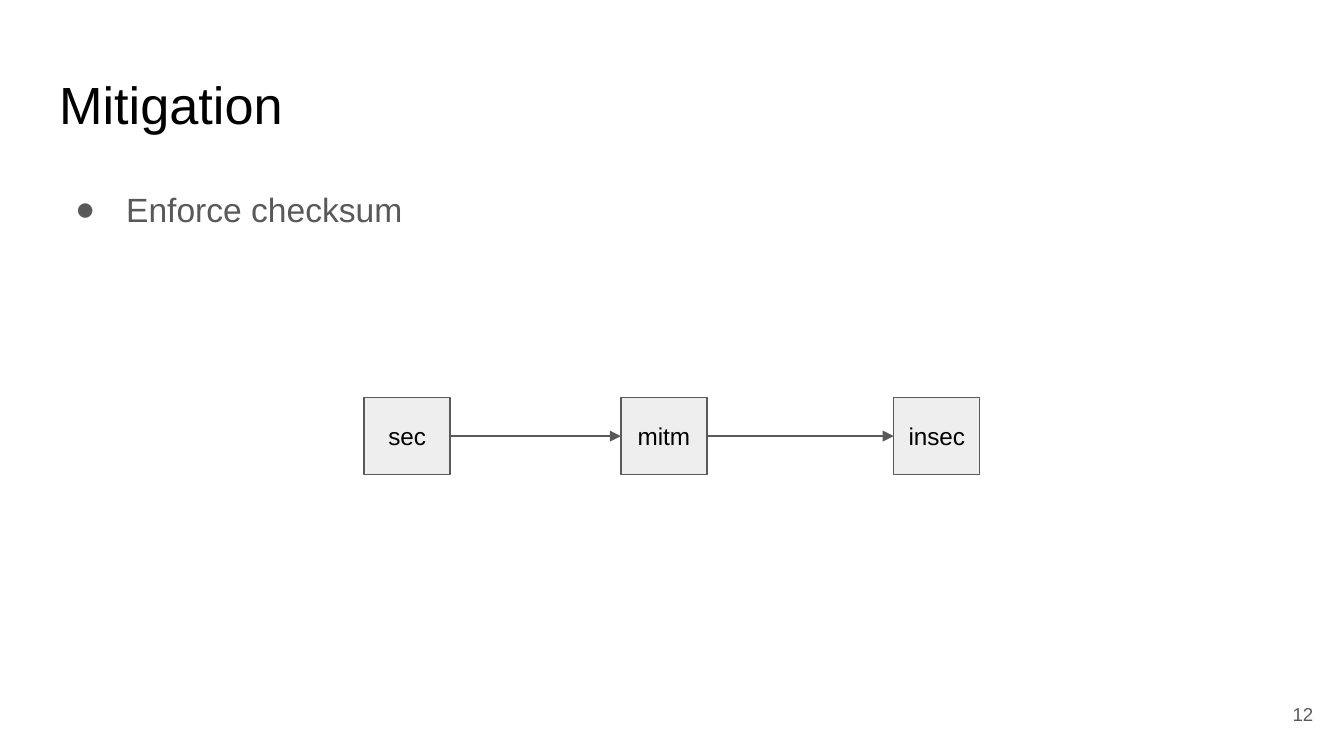
"""Build the Mitigation slide with its three-node message chain."""
import lxml.etree
import pptx
import pptx.dml.color
import pptx.enum.shapes
import pptx.enum.text
import pptx.oxml.ns
import pptx.util

TITLE = "Mitigation"
POINT = "Enforce checksum"
PAGE = "12"
NODES = [("sec", 2.71), ("mitm", 4.62), ("insec", 6.65)]
NODE_TOP, NODE_WIDE, NODE_HIGH = 2.96, 0.64, 0.57

THEME = {
    "font": "Arial", "ink": "000000", "gray": "595959", "fill": "EEEEEE",
    "title": 28, "body": 18, "node": 13, "page": 10, "line": 0.75,
}

Inches = pptx.util.Inches
Align = pptx.enum.text.PP_ALIGN
Anchor = pptx.enum.text.MSO_ANCHOR
qn = pptx.oxml.ns.qn


def color(name):
    return pptx.dml.color.RGBColor.from_string(THEME[name])


def add_bullet(para):
    props = para._p.get_or_add_pPr()
    props.set("marL", str(Inches(0.5)))
    props.set("indent", str(Inches(-0.38)))
    tint = lxml.etree.SubElement(props, qn("a:buClr"))
    lxml.etree.SubElement(tint, qn("a:srgbClr"), val=THEME["gray"])
    lxml.etree.SubElement(props, qn("a:buSzPts"), val=str(THEME["body"] * 100))
    lxml.etree.SubElement(props, qn("a:buFont"), typeface=THEME["font"])
    lxml.etree.SubElement(props, qn("a:buChar"), char="●")


def write(shape, text, size, ink, align=Align.LEFT, anchor=Anchor.TOP,
          wrap=True, bullet=False):
    frame = shape.text_frame
    frame.auto_size = pptx.enum.text.MSO_AUTO_SIZE.NONE
    frame.word_wrap = wrap
    frame.vertical_anchor = anchor
    frame.margin_left = frame.margin_right = Inches(0.1)
    frame.margin_top = frame.margin_bottom = Inches(0.1)
    frame.text = text
    para = frame.paragraphs[0]
    if bullet:
        add_bullet(para)
    para.alignment = align
    para.space_before = pptx.util.Pt(0)
    para.font.name = THEME["font"]
    para.font.size = pptx.util.Pt(THEME[size])
    para.font.color.rgb = color(ink)
    return para


def stroke(line):
    line.color.rgb = color("gray")
    line.width = pptx.util.Pt(THEME["line"])


def add_node(slide, text, left):
    node = slide.shapes.add_shape(
        pptx.enum.shapes.MSO_SHAPE.RECTANGLE,
        Inches(left), Inches(NODE_TOP), Inches(NODE_WIDE), Inches(NODE_HIGH))
    node.shadow.inherit = False
    node.fill.solid()
    node.fill.fore_color.rgb = color("fill")
    stroke(node.line)
    write(node, text, "node", "ink", Align.CENTER, Anchor.MIDDLE, wrap=False)
    return node


def add_arrow(slide, start, end):
    arrow = slide.shapes.add_connector(
        pptx.enum.shapes.MSO_CONNECTOR.STRAIGHT, 0, 0, 0, 0)
    arrow.begin_connect(start, 3)
    arrow.end_connect(end, 1)
    stroke(arrow.line)
    lxml.etree.SubElement(arrow.line._get_or_add_ln(), qn("a:tailEnd"), type="triangle")
    lxml.etree.SubElement(arrow._element.spPr, qn("a:effectLst"))


def main():
    deck = pptx.Presentation()
    deck.slide_width = Inches(10)
    deck.slide_height = deck.slide_width * 9 // 16
    slide = deck.slides.add_slide(deck.slide_layouts[5])

    title = slide.shapes.title
    title.left, title.top = Inches(0.34), Inches(0.49)
    title.width, title.height = Inches(9.32), Inches(0.63)
    write(title, TITLE, "title", "ink").line_spacing = 0.9

    body = slide.shapes.add_textbox(Inches(0.34), Inches(1.26), Inches(9.32), Inches(1.23))
    write(body, POINT, "body", "gray", bullet=True).line_spacing = 1.15

    page = slide.shapes.add_textbox(Inches(9.27), Inches(5.1), Inches(0.6), Inches(0.43))
    write(page, PAGE, "page", "gray", Align.RIGHT, Anchor.MIDDLE)

    nodes = [add_node(slide, text, left) for text, left in NODES]
    for start, end in zip(nodes, nodes[1:]):
        add_arrow(slide, start, end)

    deck.save("out.pptx")


if __name__ == "__main__":
    main()
